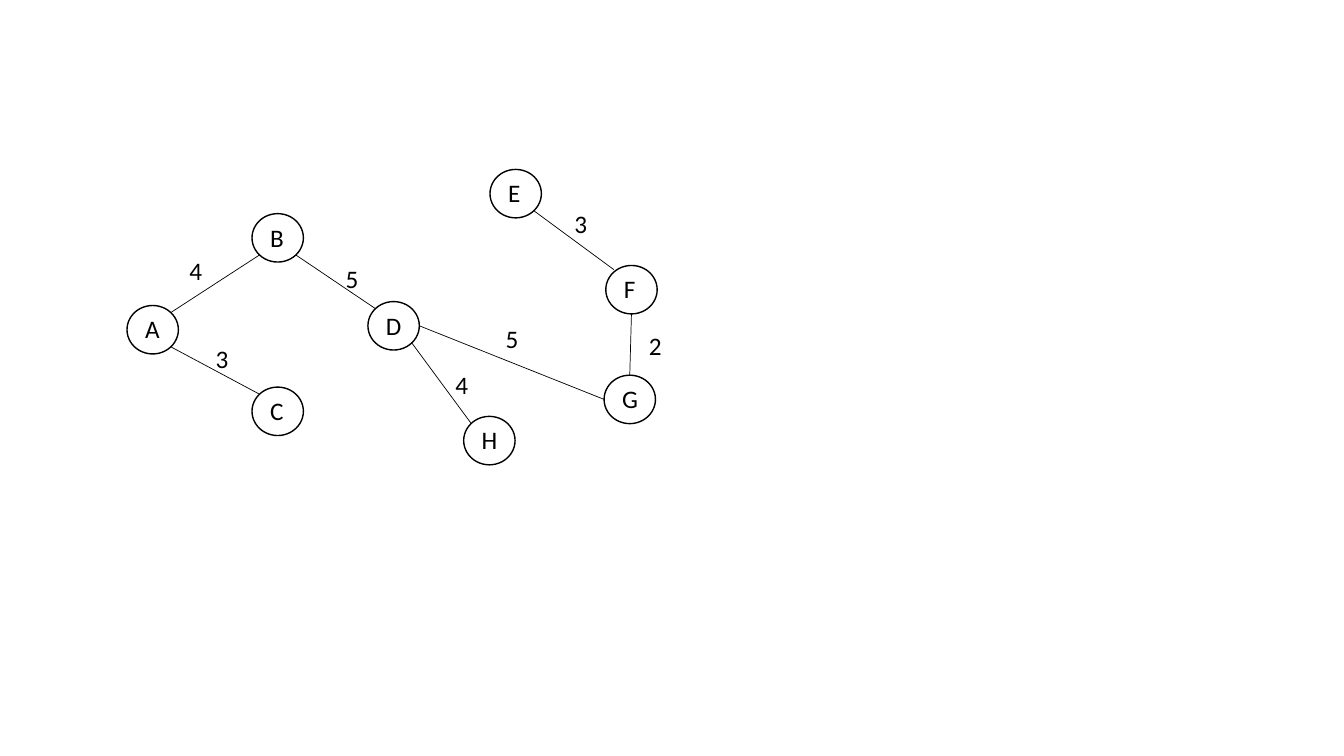
from dataclasses import dataclass
from math import sqrt
from typing import Any

from lxml import etree
from pptx import Presentation
from pptx import util as u
from pptx.dml import color as col
from pptx.enum import shapes as sh, text as tx
from pptx.oxml import ns

HUES = {"ink": "000000", "paper": "FFFFFF"}
WIDE, HIGH = 36.7, 34.6
INSET_X, INSET_Y = 5.8, 2.4
TALL = 29.1
DIAG = sqrt(0.5)
SITES = {
    "n": (0, -1), "s": (0, 1), "w": (-1, 0), "e": (1, 0),
    "nw": (-DIAG, -DIAG), "ne": (DIAG, -DIAG),
    "sw": (-DIAG, DIAG), "se": (DIAG, DIAG),
    "tag": (-0.69, -0.83),
}
FRAME = {
    "word_wrap": False,
    "auto_size": tx.MSO_AUTO_SIZE.SHAPE_TO_FIT_TEXT,
    "vertical_anchor": tx.MSO_ANCHOR.TOP,
}
FONT = {"name": "Calibri", "size": u.Pt(18)}


@dataclass(frozen=True)
class Node:
    name: str
    x: float
    y: float
    span: float


@dataclass(frozen=True)
class Edge:
    start: str
    leave: str
    end: str
    enter: str
    cost: str
    x: float
    y: float


NODES = [
    Node("A", 90.7, 218.2, 25.2),
    Node("B", 180, 152.6, 24.5),
    Node("C", 180, 276.5, 24.5),
    Node("D", 262.8, 215.4, 25.9),
    Node("E", 350, 121, 23),
    Node("F", 432.7, 189.6, 23),
    Node("G", 431.5, 268, 25.9),
    Node("H", 331.2, 297.4, 25.9),
]
EDGES = [
    Edge("A", "ne", "B", "sw", "4", 128.2, 178.6),
    Edge("A", "se", "C", "nw", "3", 146.9, 241.9),
    Edge("B", "se", "D", "nw", "5", 239.8, 184.3),
    Edge("D", "se", "H", "nw", "4", 318.2, 259.9),
    Edge("D", "e", "G", "w", "5", 354.2, 227.5),
    Edge("G", "n", "F", "s", "2", 456.5, 232.6),
    Edge("F", "tag", "E", "se", "3", 403.2, 145.4),
]


def tint(name: str) -> col.RGBColor:
    return col.RGBColor.from_string(HUES[name])


def apply(thing: Any, form: dict[str, Any]) -> None:
    for key, value in form.items():
        setattr(thing, key, value)


def write(tree: Any, words: str, x: float, y: float, span: float) -> None:
    box = tree.add_textbox(u.Pt(x), u.Pt(y), u.Pt(span), u.Pt(TALL))
    apply(box.text_frame, FRAME)
    run = box.text_frame.paragraphs[0].add_run()
    run.text = words
    apply(run.font, FONT)
    run.font.color.rgb = tint("ink")


def draw_node(tree: Any, node: Node) -> None:
    group = tree.add_group_shape().shapes
    ring = group.add_shape(
        sh.MSO_SHAPE.OVAL, u.Pt(node.x), u.Pt(node.y), u.Pt(WIDE), u.Pt(HIGH)
    )
    ring.shadow.inherit = False
    ring.fill.solid()
    ring.fill.fore_color.rgb = tint("paper")
    ring.line.color.rgb = tint("ink")
    ring.line.width = u.Pt(1)
    write(group, node.name, node.x + INSET_X, node.y + INSET_Y, node.span)


def find(node: Node, site: str) -> tuple[u.Length, u.Length]:
    dx, dy = SITES[site]
    return u.Pt(node.x + WIDE / 2 * (1 + dx)), u.Pt(node.y + HIGH / 2 * (1 + dy))


def draw_edge(tree: Any, edge: Edge, nodes: dict[str, Node]) -> None:
    line = tree.add_connector(
        sh.MSO_CONNECTOR.STRAIGHT,
        *find(nodes[edge.start], edge.leave),
        *find(nodes[edge.end], edge.enter),
    )
    line.line.color.rgb = tint("ink")
    line.line.width = u.Pt(0.5)
    etree.SubElement(line._element.spPr, ns.qn("a:effectLst"))


def main() -> None:
    deck = Presentation()
    apply(deck, {"slide_width": u.Pt(960), "slide_height": u.Pt(540)})
    tree = deck.slides.add_slide(deck.slide_layouts[6]).shapes
    for node in NODES:
        draw_node(tree, node)
    nodes = {node.name: node for node in NODES}
    for edge in EDGES:
        draw_edge(tree, edge, nodes)
    for edge in EDGES:
        write(tree, edge.cost, edge.x, edge.y, 23.8)
    deck.save("out.pptx")


if __name__ == "__main__":
    main()
